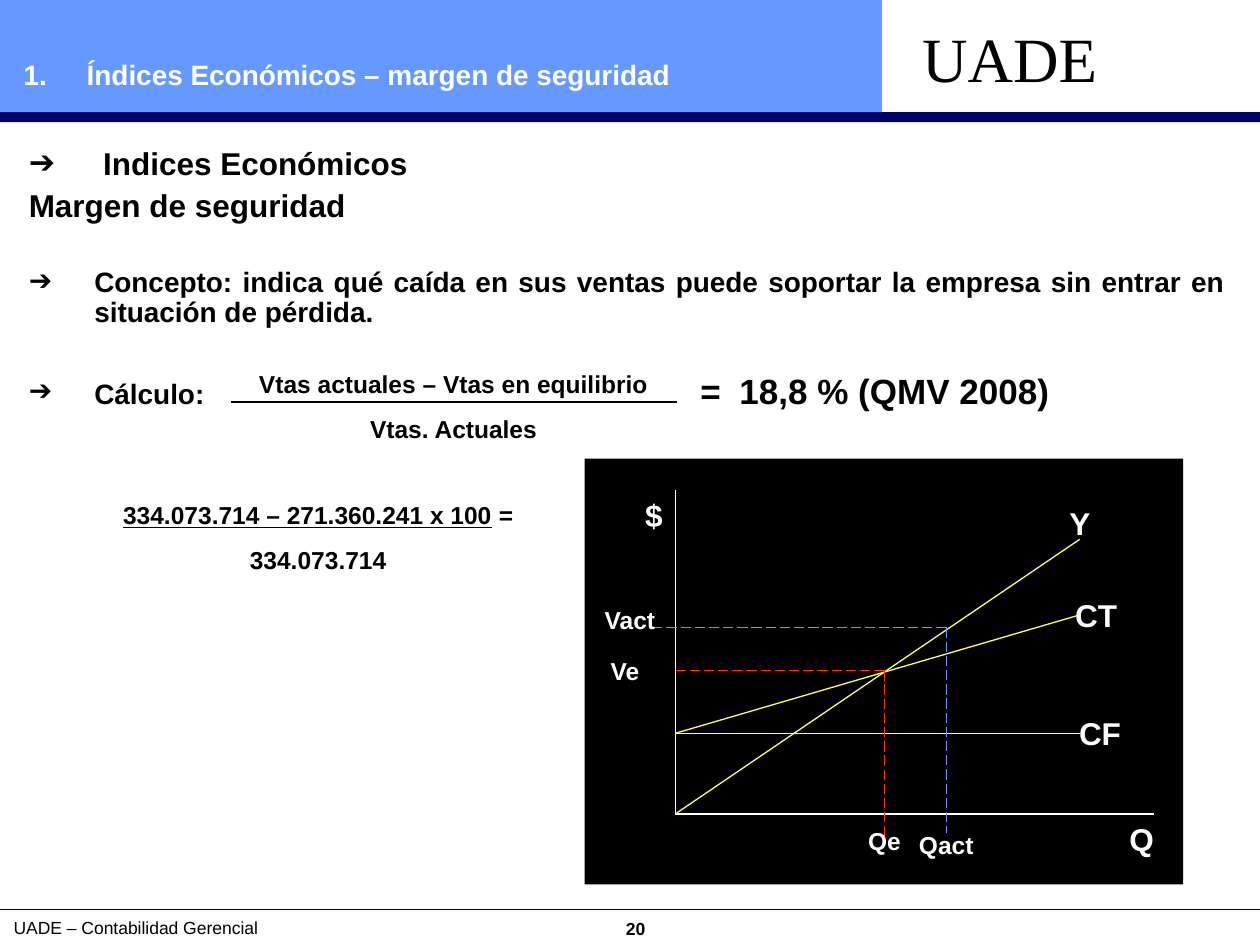
from lxml import etree
from pptx import Presentation, util as u
from pptx.dml.color import RGBColor
from pptx.enum import dml, shapes, text
from pptx.oxml.ns import qn

BLACK = RGBColor(0, 0, 0)
WHITE = RGBColor(255, 255, 255)
NAVY = RGBColor(0, 0, 0x66)
BLUE = RGBColor(0x66, 0x99, 0xFF)
YELLOW = RGBColor(255, 255, 0x66)
RED = RGBColor(255, 0x33, 0)
LEFT, CENTER, JUSTIFY = text.PP_ALIGN.LEFT, text.PP_ALIGN.CENTER, text.PP_ALIGN.JUSTIFY

WIDTH, HEIGHT = 10, 7.5
HEADER_WIDTH, HEADER_HEIGHT = 0.7 * WIDTH, 0.89
FOOTER_TOP = 7.22

TITLE = "1.\tÍndices Económicos – margen de seguridad"
BODY = [
    dict(runs=[("Indices Económicos", 18)], bullet="➔", indent=0.59, spacing=1),
    dict(runs=[("Margen de seguridad", 18)], before=5),
    dict(runs=[("Concepto: indica qué caída en sus ventas puede soportar la empresa "
                "sin entrar en situación de pérdida.", 16)],
         bullet="➔", indent=0.52, before=25),
    dict(runs=[("Cálculo:\t", 16), ("=\t18,8 % (QMV 2008)", 20)],
         bullet="➔", indent=0.52, before=26, tabs=[5.33, 5.64]),
]
FORMULA = ["Vtas actuales – Vtas en equilibrio", "Vtas. Actuales"]
EXAMPLE = ["334.073.714 – 271.360.241 x 100", " =", "334.073.714"]

AXIS_X, AXIS_Y, AXIS_TOP, AXIS_END = 5.36, 6.46, 3.89, 9.16
CURVE_END, FIXED_COST = 8.57, 5.82
BREAK_EVEN, ACTUAL = (7.02, 5.32), (7.51, 4.98)
CHART_LINES = [
    (AXIS_X, AXIS_TOP, AXIS_X, AXIS_Y, WHITE, False),
    (AXIS_X, AXIS_Y, AXIS_END, AXIS_Y, WHITE, False),
    (AXIS_X, AXIS_Y, CURVE_END, 4.28, YELLOW, False),
    (AXIS_X, FIXED_COST, CURVE_END, FIXED_COST, YELLOW, False),
    (AXIS_X, FIXED_COST, CURVE_END, 4.88, YELLOW, False),
    (*BREAK_EVEN, AXIS_X, BREAK_EVEN[1], RED, True),
    (*BREAK_EVEN, BREAK_EVEN[0], 6.7, RED, True),
    (*ACTUAL, ACTUAL[0], 6.61, BLUE, True),
    (*ACTUAL, 5.19, ACTUAL[1], BLUE, True),
]
LABEL_WIDTH = 0.98
CHART_LABELS = [
    ("$", 4.7, 3.89, 18), ("Q", 8.57, 6.46, 18), ("Y", 8.08, 3.95, 18),
    ("CT", 8.21, 4.68, 18), ("CF", 8.24, 5.62, 18), ("Qe", 6.53, 6.51, 14),
    ("Ve", 4.47, 5.16, 14), ("Vact", 4.51, 4.75, 14), ("Qact", 7.02, 6.54, 14),
]


def add_rectangle(parent, left, top, width, height, color):
    shape = parent.shapes.add_shape(shapes.MSO_SHAPE.RECTANGLE,
                                    *map(u.Inches, (left, top, width, height)))
    shape.shadow.inherit = False
    shape.fill.solid()
    shape.fill.fore_color.rgb = color
    shape.line.fill.background()


def add_line(parent, x1, y1, x2, y2, color, dashed=False):
    line = parent.shapes.add_connector(shapes.MSO_CONNECTOR.STRAIGHT,
                                       *map(u.Inches, (x1, y1, x2, y2)))
    line.line.color.rgb = color
    line.line.width = u.Pt(0.75)
    if dashed:
        line.line.dash_style = dml.MSO_LINE.LONG_DASH
    etree.SubElement(line._element.spPr, qn("a:effectLst"))


def set_layout(paragraph, indent=0, bullet=None, tabs=()):
    properties = paragraph._p.get_or_add_pPr()
    properties.set("marL", str(u.Inches(indent)))
    properties.set("indent", str(-u.Inches(indent)))
    if bullet:
        bullet_color = etree.SubElement(properties, qn("a:buClr"))
        etree.SubElement(bullet_color, qn("a:srgbClr"), val=str(BLACK))
        etree.SubElement(properties, qn("a:buFont"), typeface="Arial")
        etree.SubElement(properties, qn("a:buChar"), char=bullet)
    if tabs:
        tab_list = etree.SubElement(properties, qn("a:tabLst"))
        for position in tabs:
            etree.SubElement(tab_list, qn("a:tab"), pos=str(u.Inches(position)), algn="l")


def add_text(parent, left, top, width, height, paragraphs, color=BLACK,
             align=LEFT, bold=True, font="Arial"):
    box = parent.shapes.add_textbox(*map(u.Inches, (left, top, width, height)))
    frame = box.text_frame
    frame.word_wrap = True
    for index, content in enumerate(paragraphs):
        paragraph = frame.add_paragraph() if index else frame.paragraphs[0]
        set_layout(paragraph, content.get("indent", 0), content.get("bullet"),
                   content.get("tabs", ()))
        paragraph.alignment = align
        paragraph.line_spacing = content.get("spacing", 1)
        paragraph.space_before = u.Pt(content.get("before", 0))
        for words, size in content["runs"]:
            run = paragraph.add_run()
            run.text = words
            run.font.size = u.Pt(size)
            run.font.name = font
            run.font.bold = bold
            run.font.color.rgb = color
    return frame


def plain(words, size, **layout):
    return dict(runs=[(words, size)], **layout)


def add_frame(slide):
    add_text(slide, 0.07, 7.24, 9.95, 0.27, [plain("20", 10)], align=CENTER)
    add_rectangle(slide, 0, HEADER_HEIGHT, WIDTH, 0.08, NAVY)
    add_line(slide, 0, FOOTER_TOP, WIDTH, FOOTER_TOP, NAVY)
    add_text(slide, 0.01, 7.23, 4.08, 0.27,
             [plain("UADE – Contabilidad Gerencial", 10)], bold=False)
    add_rectangle(slide, 0, 0, HEADER_WIDTH, HEADER_HEIGHT, BLUE)
    add_text(slide, 7.22, 0.11, 1.6, 0.7, [plain("UADE", 36)], bold=False,
             font="Times New Roman")
    add_text(slide, 0.09, 0.41, 6.83, 0.37, [plain(TITLE, 16, indent=0.5)], WHITE)


def add_formulas(slide):
    group = slide.shapes.add_group_shape()
    numerator, denominator = FORMULA
    add_text(group, 1.83, 2.88, 3.54, 0.69,
             [plain(numerator, 14), plain(denominator, 14, before=8.8)], align=CENTER)
    add_line(group, 1.83, 3.19, 5.37, 3.19, BLACK)
    numerator, equals, denominator = EXAMPLE
    frame = add_text(slide, 0.59, 3.92, 3.87, 0.69,
                     [dict(runs=[(numerator, 14), (equals, 14)]),
                      plain(denominator, 14, before=8.8)], align=CENTER)
    frame.paragraphs[0].runs[0].font.underline = True


def add_break_even_diagram(slide):
    group = slide.shapes.add_group_shape()
    add_rectangle(group, 4.64, 3.64, 4.75, 3.38, BLACK)
    for line in CHART_LINES:
        add_line(group, *line)
    for words, left, top, size in CHART_LABELS:
        add_text(group, left, top, LABEL_WIDTH, size / 45, [plain(words, size)],
                 WHITE, CENTER)


def main():
    presentation = Presentation()
    presentation.slide_width = u.Inches(WIDTH)
    presentation.slide_height = u.Inches(HEIGHT)
    slide = presentation.slides.add_slide(presentation.slide_layouts[6])
    add_frame(slide)
    add_text(slide, 0.13, 1.09, 9.69, 2.39,
             [{"spacing": 0.9, **content} for content in BODY], align=JUSTIFY)
    add_formulas(slide)
    add_break_even_diagram(slide)
    presentation.save("out.pptx")


if __name__ == "__main__":
    main()
